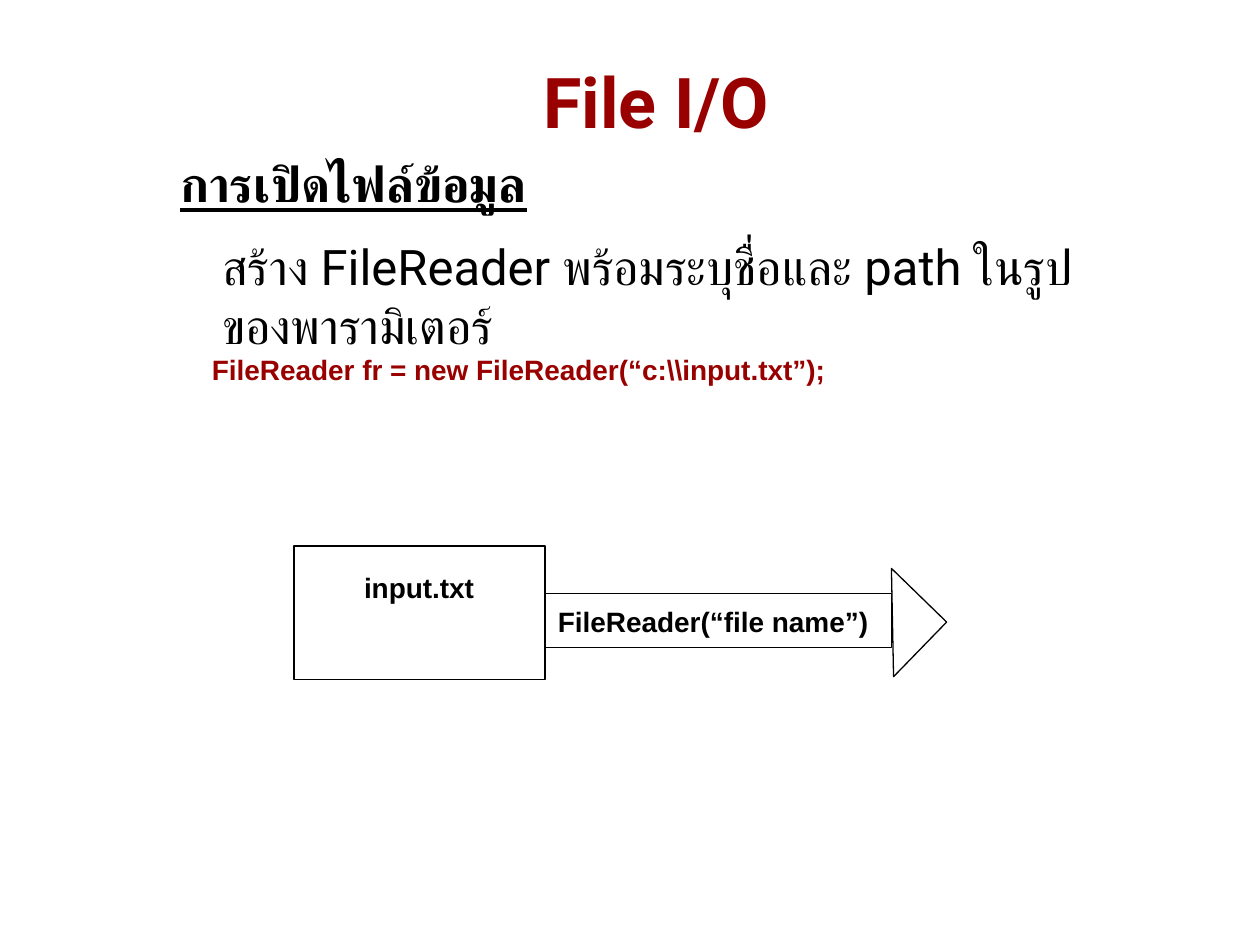
from dataclasses import dataclass

from pptx import Presentation
from pptx.dml.color import RGBColor
from pptx.enum.shapes import MSO_SHAPE
from pptx.enum.text import MSO_ANCHOR, MSO_AUTO_SIZE, PP_ALIGN
from pptx.util import Pt

RECTANGLE, RIGHT_TRIANGLE = MSO_SHAPE.RECTANGLE, MSO_SHAPE.RIGHT_TRIANGLE
LEFT, CENTER = PP_ALIGN.LEFT, PP_ALIGN.CENTER
TITLE_ONLY = 5


@dataclass(frozen=True)
class Theme:
    accent: RGBColor = RGBColor(0x99, 0x00, 0x00)
    ink: RGBColor = RGBColor(0x00, 0x00, 0x00)
    paper: RGBColor = RGBColor(0xFF, 0xFF, 0xFF)
    heading_font: str = "Roboto"
    code_font: str = "Arial"
    title_size: int = 40
    body_size: int = 28
    code_size: int = 16
    line_width: float = 0.75


THEME = Theme()
TITLE = dict(name=THEME.heading_font, size=Pt(THEME.title_size), bold=True)
BODY = dict(name=THEME.heading_font, size=Pt(THEME.body_size), bold=False)
HEADING = {**BODY, "bold": True, "underline": True}
CODE = dict(name=THEME.code_font, size=Pt(THEME.code_size), bold=True)


def write(holder, wording, font_format, color, align=LEFT):
    frame = holder.text_frame
    frame_format = dict(
        word_wrap=True, auto_size=MSO_AUTO_SIZE.NONE,
        vertical_anchor=MSO_ANCHOR.TOP,
        margin_left=Pt(7.2), margin_right=Pt(7.2),
        margin_top=Pt(3.6), margin_bottom=Pt(3.6),
    )
    for key, value in frame_format.items():
        setattr(frame, key, value)
    paragraph = frame.paragraphs[0]
    paragraph.alignment = align
    run = paragraph.add_run()
    run.text = wording
    for key, value in font_format.items():
        setattr(run.font, key, value)
    run.font.color.rgb = color


def add_label(shapes, box, wording, font_format, color, align=LEFT):
    label = shapes.add_textbox(*map(Pt, box))
    write(label, wording, font_format, color, align)


def add_outline(shapes, kind, box, rotation=0):
    outline = shapes.add_shape(kind, *map(Pt, box))
    outline.shadow.inherit = False
    outline.rotation = rotation
    outline.fill.solid()
    outline.fill.fore_color.rgb = THEME.paper
    outline.line.color.rgb = THEME.ink
    outline.line.width = Pt(THEME.line_width)


def place_title(slide, box):
    title = slide.shapes.title
    title.left, title.top, title.width, title.height = map(Pt, box)
    write(title, "File I/O", TITLE, THEME.accent, CENTER)


def add_explanation(slide, left, top):
    """Heading, description and code line for opening a file."""
    shapes = slide.shapes
    add_label(shapes, (left, top, 378, 41), "การเปิดไฟล์ข้อมูล", HEADING, THEME.ink)
    add_label(shapes, (left + 24, top + 47.5, 504, 41),
              "สร้าง FileReader พร้อมระบุชื่อและ path ในรูปของพารามิเตอร์",
              BODY, THEME.ink)
    add_label(shapes, (left + 18, top + 114, 540, 26.5),
              "FileReader fr = new FileReader(“c:\\\\input.txt”);",
              CODE, THEME.accent)


def add_reader_diagram(slide, left, top):
    """File box feeding a wide arrow, kept together as a group."""
    shapes = slide.shapes.add_group_shape().shapes
    file_width = 143.5

    # Source file
    add_outline(shapes, RECTANGLE, (left, top, file_width, 76.5))
    add_label(shapes, (left + 14.5, top + 10.5, 114, 26.5),
              "input.txt", CODE, THEME.ink, CENTER)

    # Arrow shaft and head
    shaft_left = left + file_width
    add_outline(shapes, RECTANGLE, (shaft_left, top + 27, 198, 31))
    add_outline(shapes, RIGHT_TRIANGLE,
                (shaft_left + 176.5, top + 22, 44, 43.5), rotation=224.2)
    add_label(shapes, (shaft_left - 6, top + 30, 204, 26.5),
              "FileReader(“file name”)", CODE, THEME.ink, CENTER)


def main():
    deck = Presentation()
    deck.slide_width, deck.slide_height = Pt(720), Pt(540)
    slide = deck.slides.add_slide(deck.slide_layouts[TITLE_ONLY])
    slide.background.fill.solid()
    slide.background.fill.fore_color.rgb = THEME.paper
    place_title(slide, (120, 30, 510, 55.5))
    add_explanation(slide, left=96, top=84)
    add_reader_diagram(slide, left=168, top=312)
    deck.save("out.pptx")


if __name__ == "__main__":
    main()
